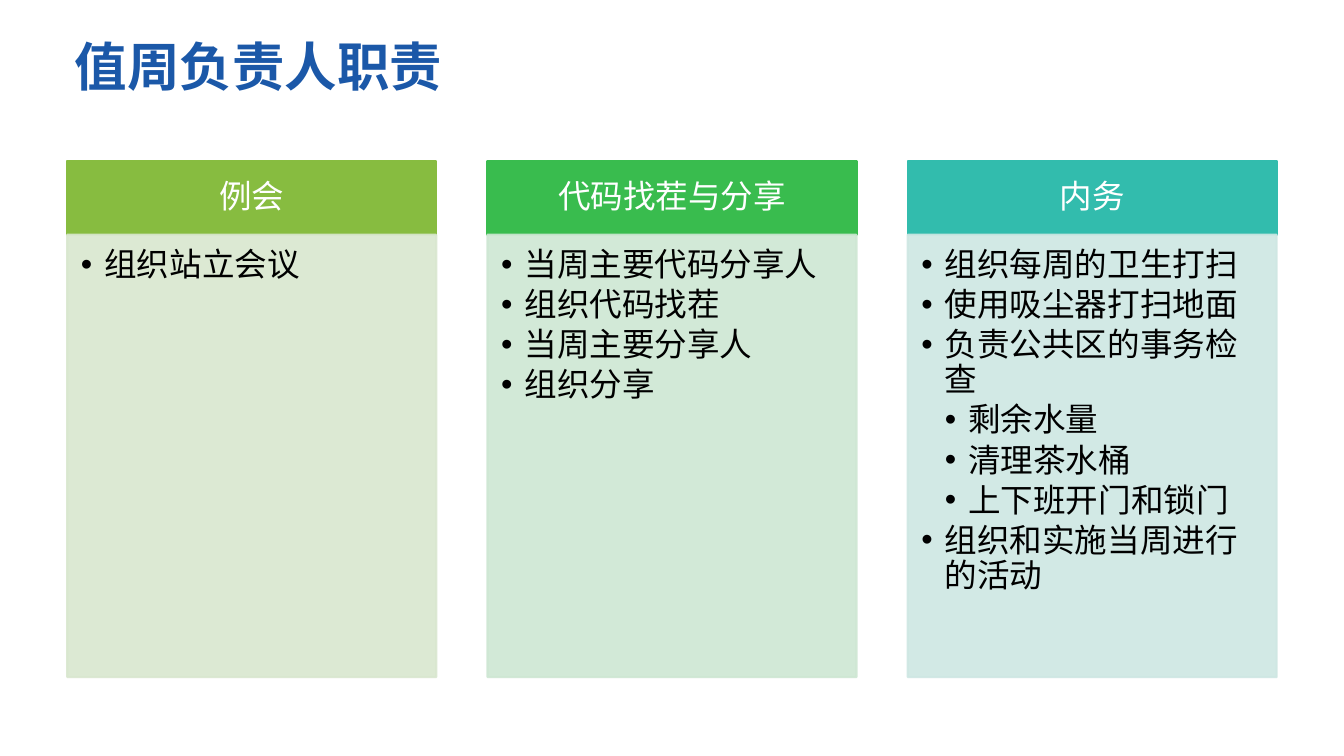
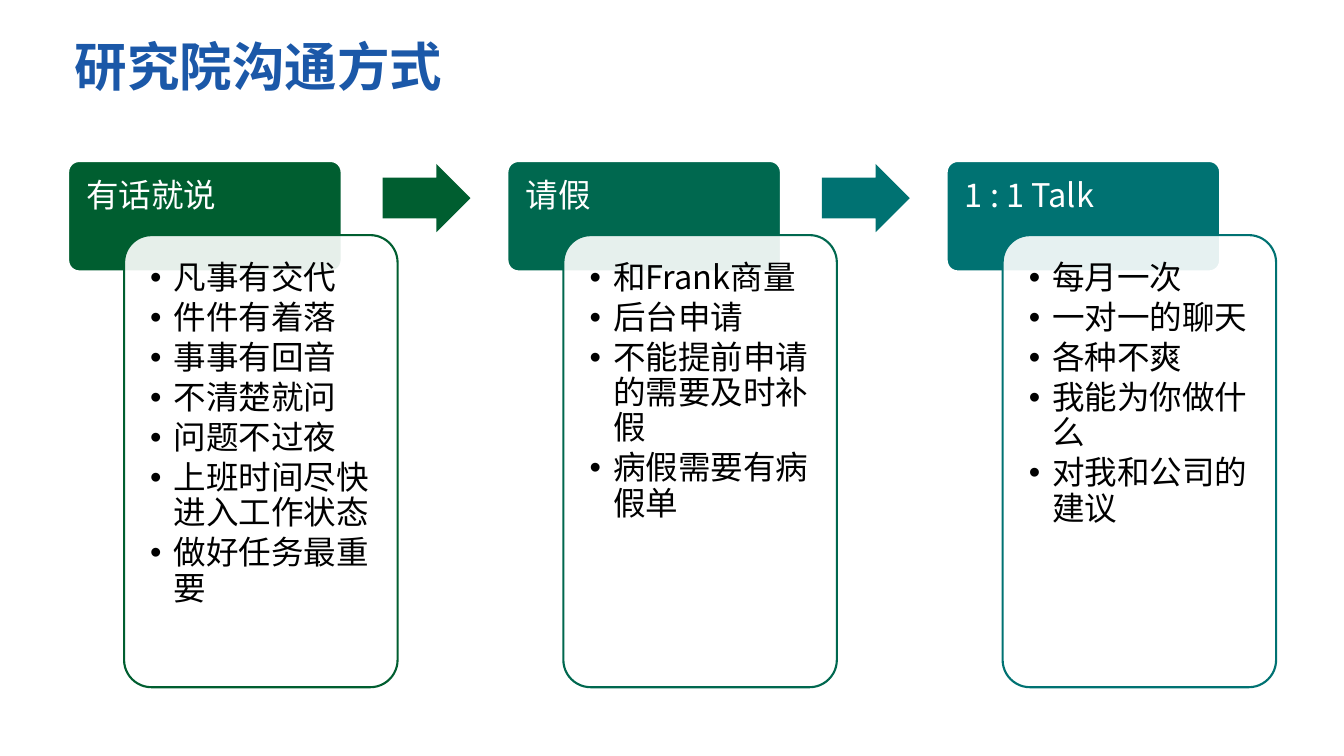
"""Builds two slides: the weekly lead's duties and the ways the institute communicates."""
from lxml.etree import SubElement
from pptx import Presentation
from pptx.dml.color import RGBColor
from pptx.enum.shapes import MSO_SHAPE
from pptx.enum.text import MSO_ANCHOR, PP_ALIGN
from pptx.oxml.ns import qn
from pptx.util import Cm, Pt

DUTIES = [
    ("例会", "87BC40", "D9E7CF", [(0, "组织站立会议")]),
    ("代码找茬与分享", "39BC4E", "CEE7D3", [
        (0, "当周主要代码分享人"), (0, "组织代码找茬"),
        (0, "当周主要分享人"), (0, "组织分享")]),
    ("内务", "32BCAD", "CEE7E3", [
        (0, "组织每周的卫生打扫"), (0, "使用吸尘器打扫地面"),
        (0, "负责公共区的事务检查"),
        (1, "剩余水量"), (1, "清理茶水桶"), (1, "上下班开门和锁门"),
        (0, "组织和实施当周进行的活动")]),
]
TALKS = [
    ("有话就说", "005E30", "005E30", [
        (0, "凡事有交代"), (0, "件件有着落"), (0, "事事有回音"),
        (0, "不清楚就问"), (0, "问题不过夜"),
        (0, "上班时间尽快进入工作状态"), (0, "做好任务最重要")]),
    ("请假", "00684F", "007272", [
        (0, "和Frank商量"), (0, "后台申请"),
        (0, "不能提前申请的需要及时补假"), (0, "病假需要有病假单")]),
    ("1 : 1 Talk", "007272", None, [
        (0, "每月一次"), (0, "一对一的聊天"), (0, "各种不爽"),
        (0, "我能为你做什么"), (0, "对我和公司的建议")]),
]
FONT, BLUE, WHITE, BLACK = "Noto Sans CJK SC", "1B58A8", "FFFFFF", "000000"
SIZE, INDENT, TOP = 31, 0.79, 5.41


def color(code):
    return RGBColor.from_string(code)


def fade(fill):
    tint = fill._xPr.find(qn("a:solidFill"))[0]
    SubElement(tint, qn("a:alpha")).set("val", "90000")


def style(para, size, code, bold=False):
    for run in para.runs:
        font = run.font
        font.size, font.bold, font.name = Pt(size), bold, FONT
        font.color.rgb = color(code)
        SubElement(run._r.rPr, qn("a:ea")).set("typeface", FONT)


def inset(frame, left, top, right, low):
    frame.word_wrap = True
    frame.margin_left, frame.margin_top = Cm(left), Cm(top)
    frame.margin_right, frame.margin_bottom = Cm(right), Cm(low)


def panel(slide, kind, place, fill, line=None, clear=False):
    shape = slide.shapes.add_shape(kind, *map(Cm, place))
    shape.shadow.inherit = False
    shape.fill.solid()
    shape.fill.fore_color.rgb = color(fill)
    if clear:
        fade(shape.fill)
    if line:
        shape.line.width = Pt(2)
        shape.line.color.rgb = color(line)
    else:
        shape.line.fill.background()
    return shape


def label(shape, text, align, anchor):
    frame = shape.text_frame
    frame.text = text
    frame.vertical_anchor = anchor
    para = frame.paragraphs[0]
    para.alignment, para.line_spacing = align, 0.9
    style(para, SIZE, WHITE)


def bullets(shape, items):
    frame = shape.text_frame
    frame.vertical_anchor = MSO_ANCHOR.TOP
    frame.text = "\n".join(text for _, text in items)
    for para, (level, _) in zip(frame.paragraphs, items):
        para.alignment, para.level = PP_ALIGN.LEFT, level + 1
        para.line_spacing, para.space_after = 0.9, Pt(SIZE * 0.15)
        props = para._p.get_or_add_pPr()
        props.set("marL", str(Cm(INDENT * (level + 1))))
        props.set("indent", str(-Cm(INDENT)))
        SubElement(props, qn("a:buFont")).set("typeface", "Arial")
        SubElement(props, qn("a:buChar")).set("char", "•")
        style(para, SIZE, BLACK)


def page(deck, title):
    slide = deck.slides.add_slide(deck.slide_layouts[6])
    box = slide.shapes.add_textbox(Cm(2.26), Cm(1.02), Cm(40.64), Cm(4.24))
    box.text_frame.word_wrap = True
    box.text_frame.text = title
    style(box.text_frame.paragraphs[0], 50, BLUE, True)
    return slide


def duties(deck):
    slide = page(deck, "值周负责人职责")
    wide, high = 12.4, 2.48
    for i, (name, dark, pale, items) in enumerate(DUTIES):
        left = 2.26 + i * 14.12
        head = panel(slide, MSO_SHAPE.RECTANGLE, (left, TOP, wide, high), dark, dark)
        inset(head.text_frame, 0.61, 0.36, 0.61, 0.36)
        label(head, name, PP_ALIGN.CENTER, MSO_ANCHOR.MIDDLE)
        body = panel(slide, MSO_SHAPE.RECTANGLE, (left, TOP + high, wide, 14.86),
                     pale, pale, True)
        fade(body.line.fill)
        inset(body.text_frame, 0.46, 0.46, 0.61, 0.69)
        bullets(body, items)


def talks(deck):
    slide = page(deck, "研究院沟通方式")
    wide = 9.19
    for i, (name, dark, next_tint, items) in enumerate(TALKS):
        left = 2.29 + i * 14.76
        head = panel(slide, MSO_SHAPE.ROUNDED_RECTANGLE, (left, TOP, wide, 3.71), dark, WHITE)
        head.adjustments[0] = 0.1
        inset(head.text_frame, 0.5, 0.5, 0.5, 0.33)
        label(head, name, PP_ALIGN.LEFT, MSO_ANCHOR.TOP)
        card = panel(slide, MSO_SHAPE.ROUNDED_RECTANGLE, (left + 1.88, 7.9, wide, 15.19),
                     WHITE, dark, True)
        card.adjustments[0] = 0.1
        inset(card.text_frame, 0.61, 0.61, 0.61, 0.61)
        bullets(card, items)
        if next_tint:
            arrow = panel(slide, MSO_SHAPE.RIGHT_ARROW, (left + 10.57, 5.51, 2.95, 2.29), next_tint)
            arrow.adjustments[0], arrow.adjustments[1] = 0.6, 0.5


def main():
    deck = Presentation()
    deck.slide_width, deck.slide_height = Cm(45.16), Cm(25.4)
    duties(deck)
    talks(deck)
    deck.save("out.pptx")


if __name__ == "__main__":
    main()
